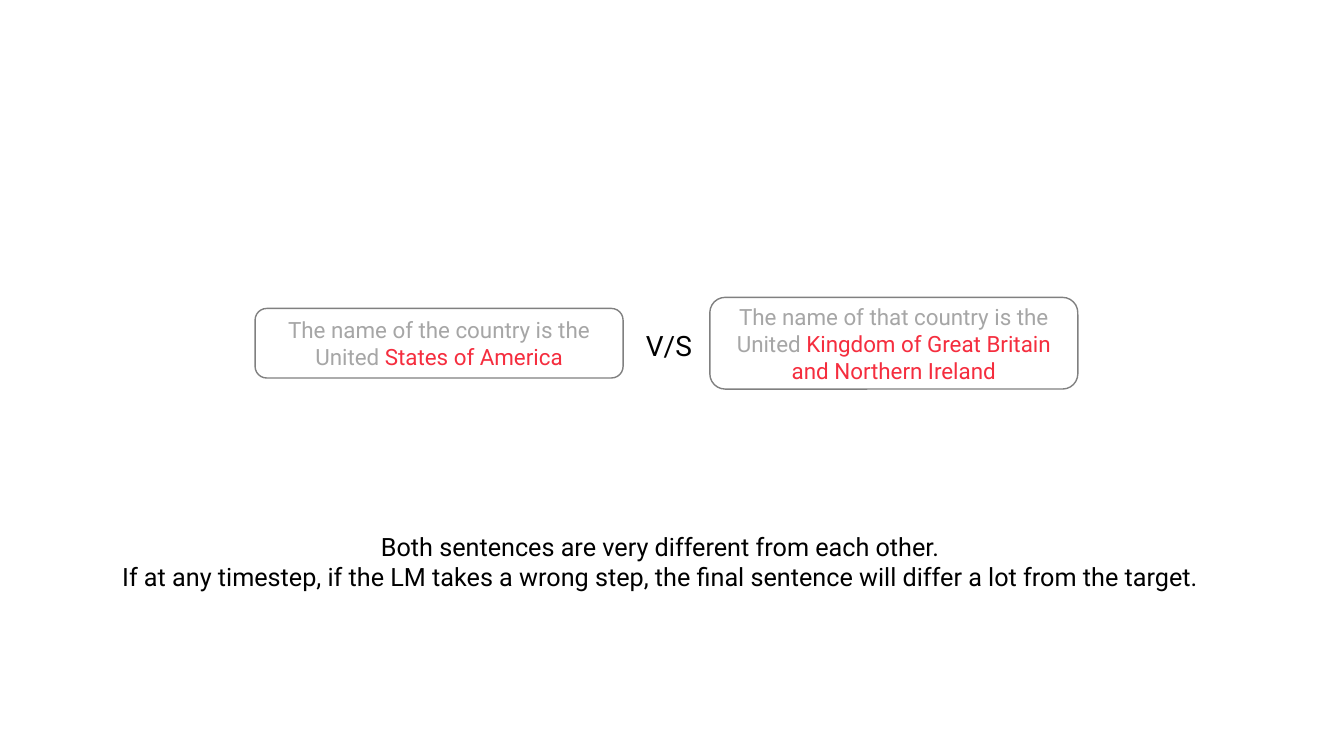
from pptx import Presentation
from pptx import util as u
from pptx.dml.color import RGBColor
from pptx.enum import shapes, text

PX = 9144  # EMU per px, 100 px to the inch
FONT = "Roboto"
COLORS = {
    "paper": "FFFFFF",
    "outline": "808080",
    "shared": "A6A6A6",
    "divergent": "F52D3E",
    "ink": "000000",
}


def color(name):
    return RGBColor.from_string(COLORS[name])


def emu(box):
    return [u.Emu(px * PX) for px in box]


def write(frame, paragraphs, size):
    """Fill a frame with centred paragraphs, each a list of (words, colour) runs."""
    frame.word_wrap = True
    for index, runs in enumerate(paragraphs):
        paragraph = frame.paragraphs[0] if index == 0 else frame.add_paragraph()
        paragraph.alignment = text.PP_ALIGN.CENTER
        for words, shade in runs:
            run = paragraph.add_run()
            run.text = words
            run.font.name = FONT
            run.font.size = u.Pt(size)
            run.font.color.rgb = color(shade)


def add_sentence_card(slide, box, paragraphs):
    card = slide.shapes.add_shape(shapes.MSO_SHAPE.ROUNDED_RECTANGLE, *emu(box))
    card.shadow.inherit = False
    card.fill.solid()
    card.fill.fore_color.rgb = color("paper")
    card.line.color.rgb = color("outline")
    card.line.width = u.Pt(1)
    card.text_frame.vertical_anchor = text.MSO_ANCHOR.MIDDLE
    write(card.text_frame, paragraphs, 16)


def add_caption(slide, box, paragraphs, size):
    caption = slide.shapes.add_textbox(*emu(box))
    write(caption.text_frame, paragraphs, size)


def add_comparison(slide, box):
    """Two sentence cards, centred vertically, with V/S between them."""
    left, top, width, height = box
    card_width = 365
    short_height = 69
    gap = width - 2 * card_width

    # Generated sentence
    add_sentence_card(
        slide,
        (left, top + (height - short_height) // 2, card_width, short_height),
        [
            [("The name of the country is the", "shared")],
            [("United ", "shared"), ("States of America", "divergent")],
        ],
    )
    # Target sentence
    add_sentence_card(
        slide,
        (left + card_width + gap, top, card_width, height),
        [[
            ("The name of that country is the United ", "shared"),
            ("Kingdom of Great Britain and Northern Ireland", "divergent"),
        ]],
    )
    # Versus label
    add_caption(
        slide,
        (left + card_width - 1, top + 26, gap + 7, 44),
        [[("V/S", "ink")]],
        20,
    )


def add_conclusion(slide, box):
    lines = (
        "Both sentences are very different from each other. ",
        "If at any timestep, if the LM takes a wrong step, "
        "the final sentence will differ a lot from the target. ",
    )
    add_caption(slide, box, [[(line, "ink")] for line in lines], 18)


def main():
    deck = Presentation()
    deck.slide_width, deck.slide_height = emu((1333, 750))
    slide = deck.slides.add_slide(deck.slide_layouts[6])
    add_comparison(slide, (253, 295, 816, 91))
    add_conclusion(slide, (52, 522, 1212, 101))
    deck.save("out.pptx")


if __name__ == "__main__":
    main()
